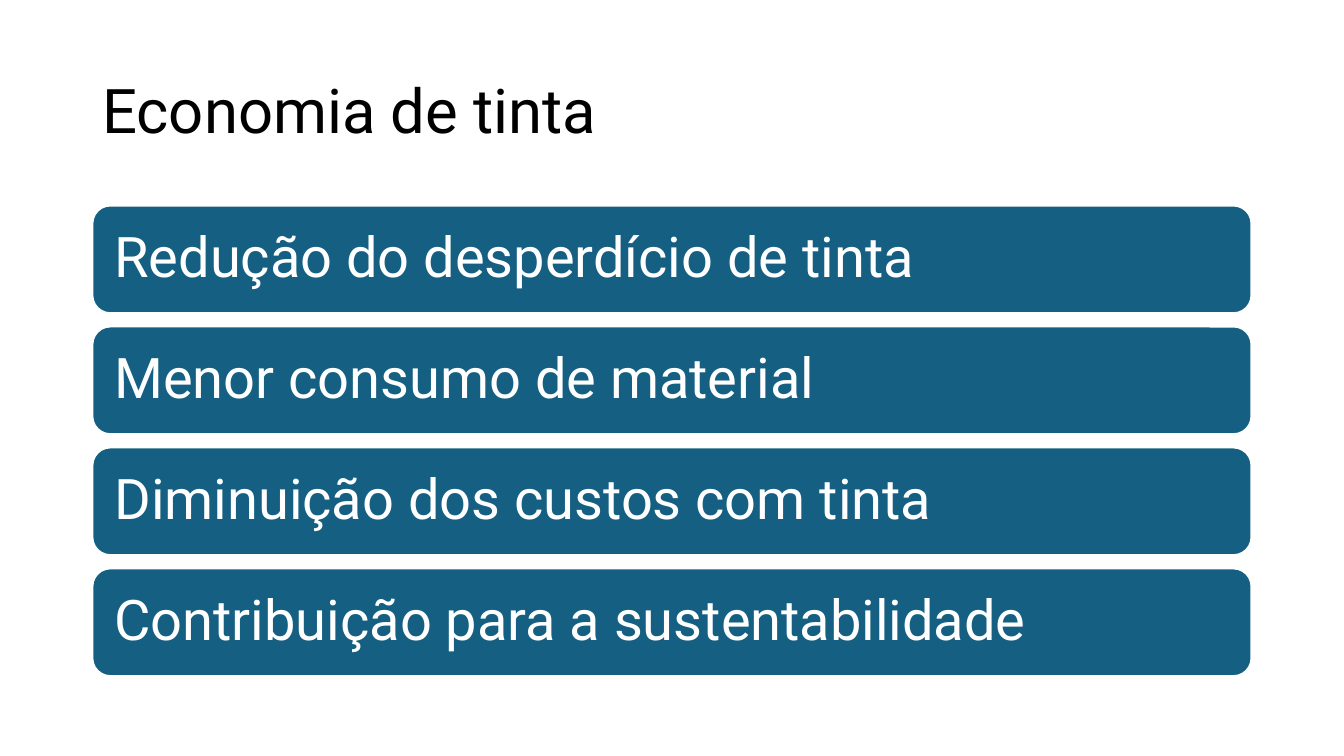
"""Build a slide listing four benefits of saving paint as stacked bars."""
from dataclasses import dataclass

from pptx import Presentation
from pptx.dml.color import RGBColor
from pptx.enum.shapes import MSO_SHAPE
from pptx.enum.text import MSO_ANCHOR, PP_ALIGN
from pptx.shapes.autoshape import Shape
from pptx.slide import Slide
from pptx.util import Pt

COLORS = {"title": "000000", "bar": "156082", "white": "FFFFFF"}
FONT = "Roboto"
LEFT, WIDTH = 66, 828
BAR_TOP, BAR_HEIGHT, BAR_STEP = 146.8, 77, 86.4
BENEFITS = (
    "Redução do desperdício de tinta",
    "Menor consumo de material",
    "Diminuição dos custos com tinta",
    "Contribuição para a sustentabilidade",
)


@dataclass
class Bar:
    text: str
    top: float


def write_text(shape: Shape, text: str, *, size: float, color: str,
               inset_x: float, inset_y: float) -> None:
    frame = shape.text_frame
    frame.word_wrap = True
    frame.vertical_anchor = MSO_ANCHOR.MIDDLE
    frame.margin_left = frame.margin_right = Pt(inset_x)
    frame.margin_top = frame.margin_bottom = Pt(inset_y)
    paragraph = frame.paragraphs[0]
    paragraph.alignment = PP_ALIGN.LEFT
    paragraph.line_spacing = 0.9
    run = paragraph.add_run()
    run.text = text
    run.font.name = FONT
    run.font.size = Pt(size)
    run.font.color.rgb = RGBColor.from_string(COLORS[color])


def draw_title(slide: Slide, text: str) -> None:
    title = slide.shapes.add_textbox(Pt(LEFT), Pt(28.8), Pt(WIDTH), Pt(104.4))
    write_text(title, text, size=44, color="title", inset_x=7.2, inset_y=3.6)


def draw_bar(slide: Slide, bar: Bar) -> None:
    shape = slide.shapes.add_shape(
        MSO_SHAPE.ROUNDED_RECTANGLE, Pt(LEFT), Pt(bar.top), Pt(WIDTH), Pt(BAR_HEIGHT)
    )
    shape.shadow.inherit = False
    shape.fill.solid()
    shape.fill.fore_color.rgb = RGBColor.from_string(COLORS["bar"])
    shape.line.color.rgb = RGBColor.from_string(COLORS["white"])
    shape.line.width = Pt(1.5)
    write_text(shape, bar.text, size=40, color="white", inset_x=12, inset_y=12)


def main() -> None:
    presentation = Presentation()
    presentation.slide_width = Pt(960)
    presentation.slide_height = Pt(540)
    slide = presentation.slides.add_slide(presentation.slide_layouts[6])
    draw_title(slide, "Economia de tinta")
    for index, benefit in enumerate(BENEFITS):
        draw_bar(slide, Bar(benefit, BAR_TOP + index * BAR_STEP))
    presentation.save("out.pptx")


if __name__ == "__main__":
    main()
